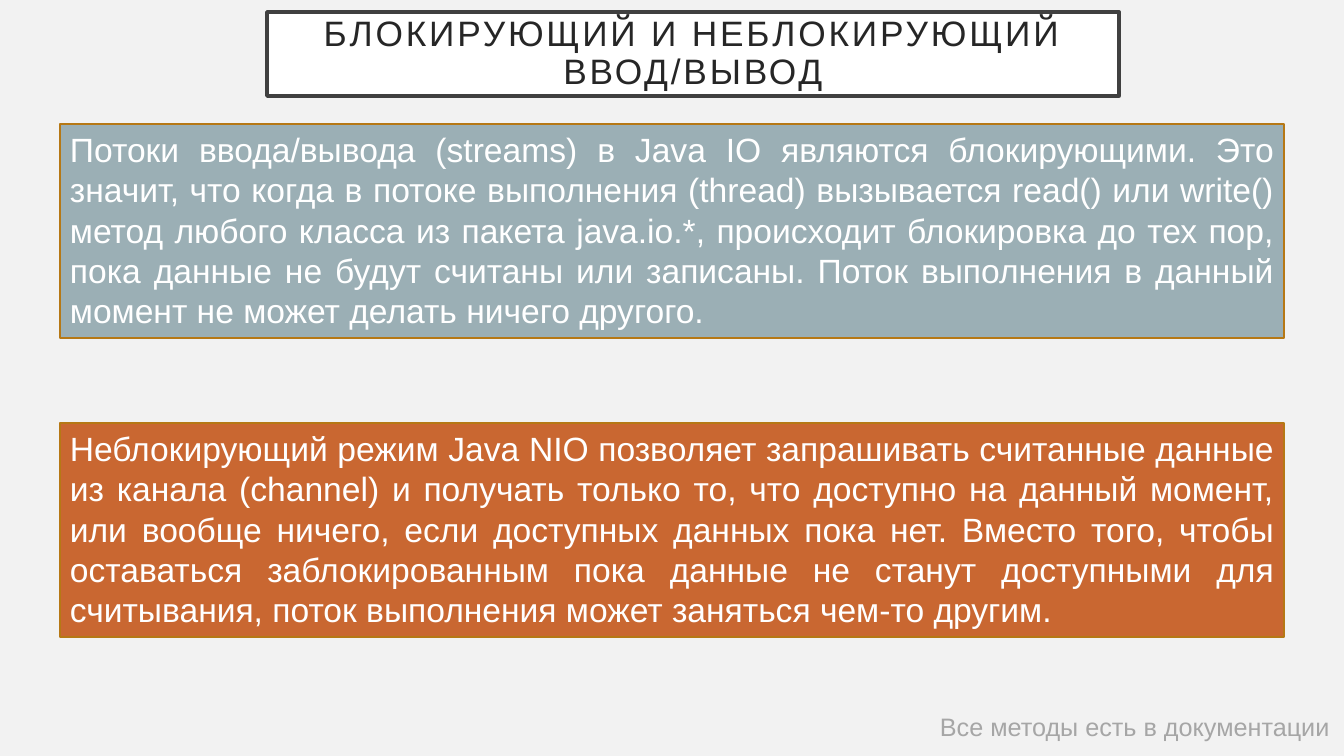
from pptx import Presentation
from pptx.dml.color import RGBColor as Rgb
from pptx.enum.shapes import MSO_SHAPE as Shape
from pptx.enum.text import MSO_ANCHOR as Anchor, MSO_AUTO_SIZE as Auto, PP_ALIGN as Align
from pptx.util import Emu, Pt

HUES = {
    "back": "F2F2F2",
    "white": "FFFFFF",
    "frame": "404040",
    "title": "262626",
    "edge": "B67815",
    "block": "9BAFB5",
    "free": "C96731",
    "note": "A6A6A6",
}
TITLE = "БЛОКИРУЮЩИЙ И НЕБЛОКИРУЮЩИЙ ВВОД/ВЫВОД"
PANELS = [
    (124, "block", "Потоки ввода/вывода (streams) в Java IO являются блокирующими. "
     "Это значит, что когда в потоке выполнения (thread) вызывается read() или write() "
     "метод любого класса из пакета java.io.*, происходит блокировка до тех пор, "
     "пока данные не будут считаны или записаны. Поток выполнения в данный момент "
     "не может делать ничего другого."),
    (423, "free", "Неблокирующий режим Java NIO позволяет запрашивать считанные данные "
     "из канала (channel) и получать только то, что доступно на данный момент, "
     "или вообще ничего, если доступных данных пока нет. Вместо того, чтобы "
     "оставаться заблокированным пока данные не станут доступными для считывания, "
     "поток выполнения может заняться чем-то другим."),
]
NOTE = "Все методы есть в документации"


def px(count):
    return Emu(round(count * 914400 / 100.8))


def hue(name):
    return Rgb.from_string(HUES[name])


def paint(shape, fill, line, width):
    shape.fill.solid()
    shape.fill.fore_color.rgb = hue(fill)
    shape.line.color.rgb = hue(line)
    shape.line.width = Pt(width)


def write(frame, text, size, color, align):
    para = frame.paragraphs[0]
    para.alignment = align
    run = para.add_run()
    run.text = text
    run.font.name = "Arial"
    run.font.size = Pt(size)
    run.font.color.rgb = hue(color)
    return para, run


def add_title(slide, box):
    title = slide.shapes.title
    title.left, title.top, title.width, title.height = map(px, box)
    paint(title, "white", "frame", 2.5)
    frame = title.text_frame
    frame.word_wrap = True
    frame.auto_size = Auto.NONE
    frame.vertical_anchor = Anchor.MIDDLE
    frame.margin_left = frame.margin_right = px(20)
    frame.margin_top = frame.margin_bottom = px(20)
    para, run = write(frame, TITLE, 25.2, "title", Align.CENTER)
    para.line_spacing = 0.9
    run.font._element.set("spc", "200")


def add_panel(slide, box, fill, text):
    panel = slide.shapes.add_shape(Shape.RECTANGLE, *map(px, box))
    panel.shadow.inherit = False
    paint(panel, fill, "edge", 1)
    frame = panel.text_frame
    frame.word_wrap = True
    frame.auto_size = Auto.SHAPE_TO_FIT_TEXT
    frame.vertical_anchor = Anchor.TOP
    write(frame, text, 24, "white", Align.JUSTIFY)


def add_note(slide, box):
    frame = slide.shapes.add_textbox(*map(px, box)).text_frame
    frame.word_wrap = False
    frame.auto_size = Auto.SHAPE_TO_FIT_TEXT
    write(frame, NOTE, 18, "note", Align.LEFT)


def main():
    deck = Presentation()
    deck.slide_width, deck.slide_height = px(1344), px(756)
    slide = deck.slides.add_slide(deck.slide_layouts[5])
    slide.background.fill.solid()
    slide.background.fill.fore_color.rgb = hue("back")
    add_title(slide, (267, 12, 852, 84))
    for top, fill, text in PANELS:
        add_panel(slide, (60, top, 1224, 214), fill, text)
    add_note(slide, (930, 706, 413, 40))
    deck.save("out.pptx")


if __name__ == "__main__":
    main()
